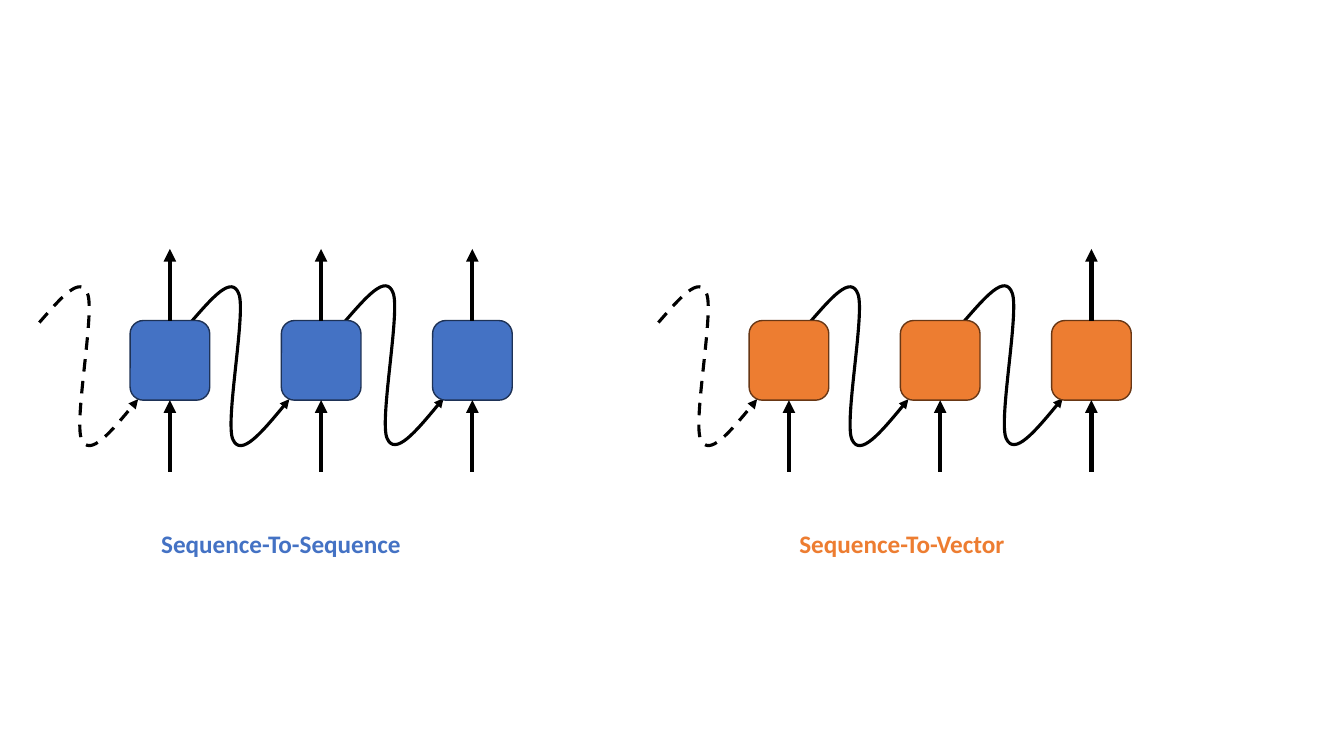
from lxml.etree import SubElement
from pptx import Presentation
from pptx.dml.color import RGBColor
from pptx.enum.dml import MSO_LINE_DASH_STYLE as Dash
from pptx.enum.shapes import MSO_CONNECTOR as Connector, MSO_SHAPE as Shape
from pptx.enum.text import MSO_AUTO_SIZE as AutoSize
from pptx.oxml.ns import qn
from pptx.util import Inches, Pt

COLORS = {
    "black": "000000",
    "blue": "4472C4", "blue edge": "1E3256",
    "orange": "ED7D31", "orange edge": "683715",
}
PANELS = [
    {"label": "Sequence-To-Sequence", "color": "blue", "left": 1.29,
     "label left": 1.5, "label width": 2.59, "outputs": (0, 1, 2)},
    {"label": "Sequence-To-Vector", "color": "orange", "left": 7.43,
     "label left": 7.83, "label width": 2.26, "outputs": (2,)},
]
LOOPS = [(-0.9, 2.85, True), (0.6, 2.85, False), (2.13, 2.84, False)]
LOOP_SIZE = (0.98, 1.57)
LOOP_START = (0, 0.35)
LOOP_CURVES = [
    ((0.21, 0.11), (0.41, -0.13), (0.48, 0.07)),
    ((0.55, 0.26), (0.34, 1.34), (0.42, 1.51)),
    ((0.5, 1.69), (0.74, 1.4), (0.98, 1.11)),
]
CELLS, CELL_STEP, CELL_TOP, CELL_SIZE = 3, 1.5, 3.18, 0.79
ARROW_LENGTH = 0.71
LABEL_TOP, LABEL_HEIGHT = 5.19, 0.4


def color(name):
    return RGBColor.from_string(COLORS[name])


def style_arrow(arrow, width, dashed=False):
    arrow.line.color.rgb = color("black")
    arrow.line.width = Pt(width)
    if dashed:
        arrow.line.dash_style = Dash.DASH
    SubElement(arrow.line._get_or_add_ln(), qn("a:tailEnd"), type="triangle")


def add_point(parent, point):
    SubElement(parent, qn("a:pt"), x=str(Inches(point[0])), y=str(Inches(point[1])))


def add_loop(page, left, top, dashed):
    width, height = (Inches(side) for side in LOOP_SIZE)
    builder = page.shapes.build_freeform(0, 0)
    builder.add_line_segments([(width, 0), (width, height)], close=False)
    loop = builder.convert_to_shape(Inches(left), Inches(top))
    outline = loop._element.find(".//" + qn("a:path"))
    for step in list(outline):
        outline.remove(step)
    add_point(SubElement(outline, qn("a:moveTo")), LOOP_START)
    for curve in LOOP_CURVES:
        bezier = SubElement(outline, qn("a:cubicBezTo"))
        for point in curve:
            add_point(bezier, point)
    loop.fill.background()
    style_arrow(loop, 2.25, dashed)
    loop.shadow.inherit = False


def add_cell(page, left, name):
    cell = page.shapes.add_shape(Shape.ROUNDED_RECTANGLE, Inches(left),
                                 Inches(CELL_TOP), Inches(CELL_SIZE), Inches(CELL_SIZE))
    cell.shadow.inherit = False
    cell.fill.solid()
    cell.fill.fore_color.rgb = color(name)
    cell.line.color.rgb = color(name + " edge")
    cell.line.width = Pt(1)
    return cell


def add_arrow(page, cell, is_output):
    middle = cell.left + cell.width // 2
    bottom = cell.top + cell.height
    length = Inches(ARROW_LENGTH)
    start, end = (cell.top, cell.top - length) if is_output else (bottom + length, bottom)
    arrow = page.shapes.add_connector(Connector.STRAIGHT, middle, start, middle, end)
    if is_output:
        arrow.begin_connect(cell, 0)
    else:
        arrow.end_connect(cell, 2)
    style_arrow(arrow, 3)
    SubElement(arrow._element.spPr, qn("a:effectLst"))


def add_label(page, panel):
    box = page.shapes.add_textbox(Inches(panel["label left"]), Inches(LABEL_TOP),
                                  Inches(panel["label width"]), Inches(LABEL_HEIGHT))
    frame = box.text_frame
    frame.text = panel["label"]
    frame.word_wrap = False
    frame.auto_size = AutoSize.SHAPE_TO_FIT_TEXT
    font = frame.paragraphs[0].runs[0].font
    font.name, font.size, font.bold = "Calibri", Pt(18), True
    font.color.rgb = color(panel["color"])


def main():
    deck = Presentation()
    deck.slide_width, deck.slide_height = Inches(13.33), Inches(7.5)
    page = deck.slides.add_slide(deck.slide_layouts[6])
    for panel in PANELS:
        for offset, top, dashed in LOOPS:
            add_loop(page, panel["left"] + offset, top, dashed)
        cells = [add_cell(page, panel["left"] + index * CELL_STEP, panel["color"])
                 for index in range(CELLS)]
        for index, cell in enumerate(cells):
            add_arrow(page, cell, False)
            if index in panel["outputs"]:
                add_arrow(page, cell, True)
        add_label(page, panel)
    deck.save("out.pptx")


if __name__ == "__main__":
    main()
